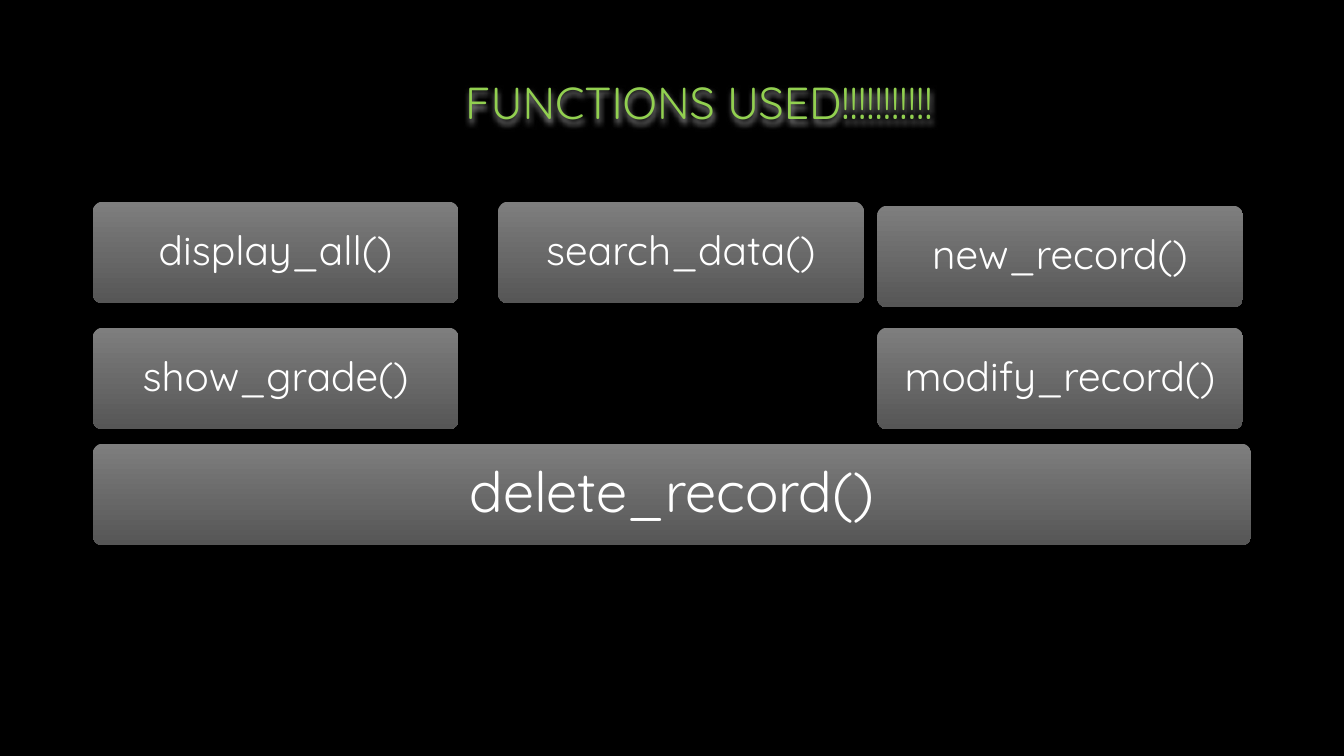
from lxml import etree
from pptx import Presentation
from pptx import util as u
from pptx.dml.color import RGBColor
from pptx.enum import shapes, text
from pptx.oxml import parse_xml
from pptx.oxml.ns import nsdecls

# Content: label, left column, row, row nudge in inches
HEADING = "FUNCTIONS USED!!!!!!!!!!!"
FUNCTIONS = [
    ("display_all()", 0, 0, 0),
    ("search_data()", 1, 0, 0),
    ("new_record()", 2, 0, 0.04),
    ("show_grade()", 0, 1, 0),
    ("modify_record()", 2, 1, 0),
]
WIDE_FUNCTION = "delete_record()"

# Grid, in inches
COLUMNS = [0.92, 4.94, 8.7]
ROWS = [2.0, 3.25, 4.4]
CARD_W, WIDE_W, CARD_H = 3.63, 11.49, 1.01

# Style
FONT = "Quicksand"
BLACK = RGBColor(0x00, 0x00, 0x00)
WHITE = RGBColor(0xFF, 0xFF, 0xFF)
GREEN = RGBColor(0x92, 0xD0, 0x50)
CARD_TOP = RGBColor(0x7E, 0x7E, 0x7E)
CARD_BOTTOM = RGBColor(0x56, 0x56, 0x56)
TITLE_OUTLINE = (
    f'<a:ln {nsdecls("a")} w="9525"><a:solidFill><a:srgbClr val="FFFFFF">'
    '<a:alpha val="6000"/></a:srgbClr></a:solidFill></a:ln>')
TITLE_SHADOW = (
    f'<a:effectLst {nsdecls("a")}><a:outerShdw blurRad="50800" dist="38100" '
    'dir="5400000" algn="t" rotWithShape="0"><a:srgbClr val="FFFFFF">'
    '<a:alpha val="65000"/></a:srgbClr></a:outerShdw></a:effectLst>')


def write(frame, words, size, color):
    frame.text = words
    frame.word_wrap = True
    frame.vertical_anchor = text.MSO_ANCHOR.MIDDLE
    line = frame.paragraphs[0]
    line.alignment = text.PP_ALIGN.CENTER
    font = line.runs[0].font
    font.name, font.size, font.color.rgb = FONT, u.Pt(size), color
    return line


def add_card(slide, words, left, top, width, size, inset):
    card = slide.shapes.add_shape(
        shapes.MSO_SHAPE.ROUNDED_RECTANGLE,
        u.Inches(left), u.Inches(top), u.Inches(width), u.Inches(CARD_H))
    card.adjustments[0] = 0.1
    card.shadow.inherit = False
    card.line.fill.background()
    card.fill.gradient()
    card.fill.gradient_angle = 270
    for stop, color in zip(card.fill.gradient_stops, (CARD_TOP, CARD_BOTTOM)):
        stop.color.rgb = color
    frame = card.text_frame
    frame.margin_left = frame.margin_right = u.Inches(inset)
    frame.margin_top = frame.margin_bottom = u.Inches(inset)
    write(frame, words, size, WHITE).line_spacing = 0.9


def main():
    deck = Presentation()
    deck.slide_width, deck.slide_height = u.Inches(13.33), u.Inches(7.5)
    slide = deck.slides.add_slide(deck.slide_layouts[5])
    slide.background.fill.solid()
    slide.background.fill.fore_color.rgb = BLACK

    # Heading with faint outline and soft shadow
    heading = slide.shapes.title
    heading.left, heading.top = u.Inches(2.27), u.Inches(0.18)
    heading.width, heading.height = u.Inches(9.33), u.Inches(1.65)
    line = write(heading.text_frame, HEADING, 32, GREEN)
    line.runs[0].font.fill  # outline precedes the fill
    line.runs[0]._r.get_or_add_rPr().insert(0, parse_xml(TITLE_OUTLINE))
    heading._element.spPr.append(parse_xml(TITLE_SHADOW))

    # Function cards
    for words, column, row, nudge in FUNCTIONS:
        add_card(slide, words, COLUMNS[column], ROWS[row] + nudge,
                 CARD_W, 29, 0.15)
    add_card(slide, WIDE_FUNCTION, COLUMNS[0], ROWS[2], WIDE_W, 40, 0.2)

    deck.save("out.pptx")


if __name__ == "__main__":
    main()
